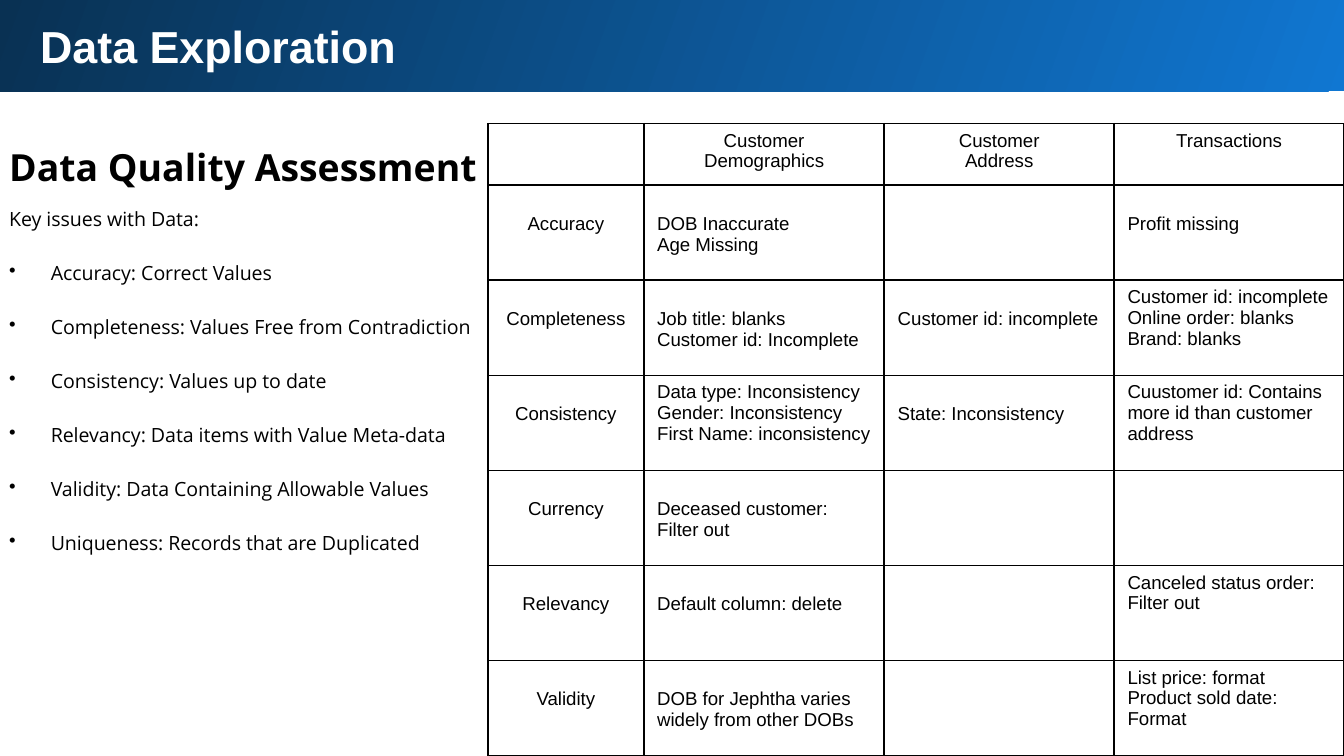
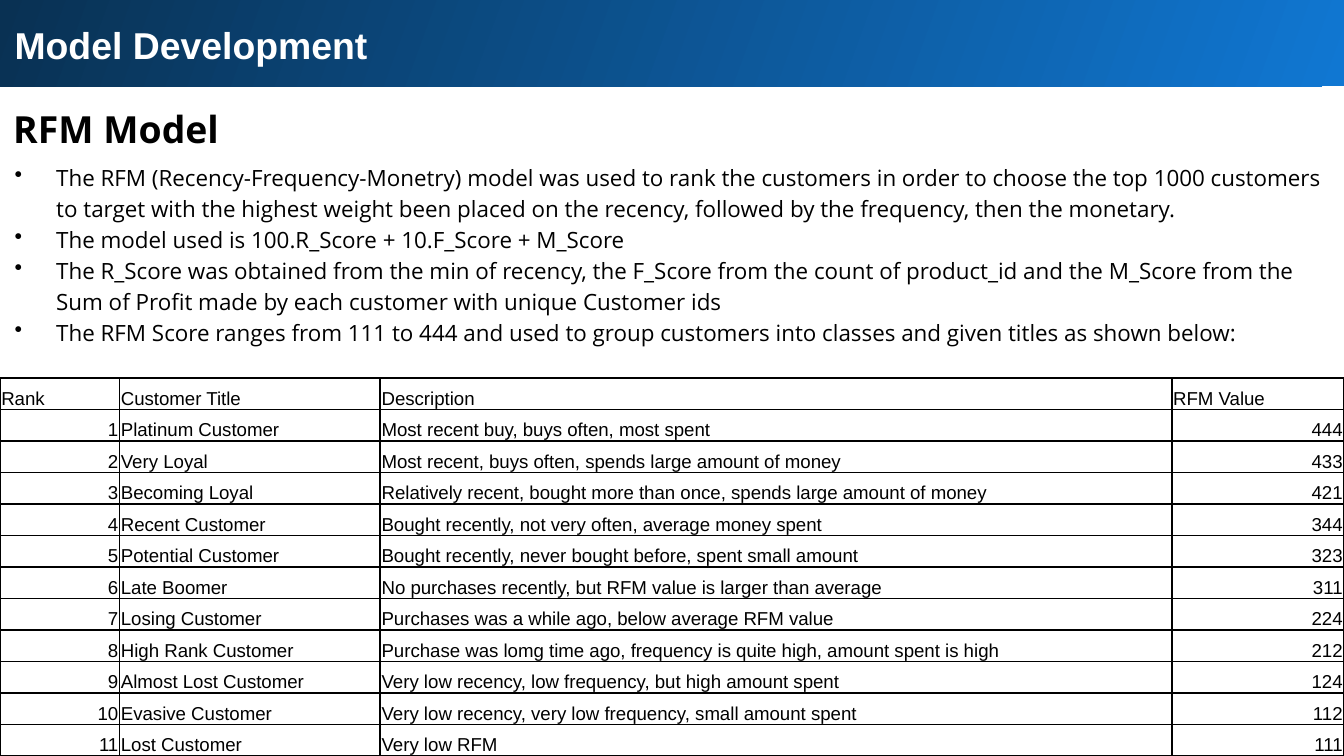
"""Builds two slides on data exploration and model development."""
from collections import namedtuple

from lxml import etree
from pptx import Presentation
from pptx.dml.color import RGBColor
from pptx.enum.shapes import MSO_SHAPE
from pptx.enum.text import MSO_ANCHOR, PP_ALIGN
from pptx.oxml.ns import qn
from pptx.util import Emu, Inches, Pt

RECTANGLE = MSO_SHAPE.RECTANGLE
LEFT, CENTER, RIGHT = PP_ALIGN.LEFT, PP_ALIGN.CENTER, PP_ALIGN.RIGHT
TOP, BOTTOM = MSO_ANCHOR.TOP, MSO_ANCHOR.BOTTOM

BLACK = RGBColor(0x00, 0x00, 0x00)
WHITE = RGBColor(0xFF, 0xFF, 0xFF)
BRIGHT_BLUE = RGBColor(0x10, 0x77, 0xD2)
DEEP_BLUE = RGBColor(0x09, 0x31, 0x53)

TITLE_FONT = TABLE_FONT = "Arial"
BODY_FONT = "Open Sans"
TABLE_SIZE = 10
LINE_SPACING = 1.15
BULLET_INDENT = Inches(0.31)
TEXT_INSET = Inches(0.1)
BORDER_WIDTH = Pt(1)

SLIDE_WIDTH = Inches(10)
SLIDE_HEIGHT = Emu(SLIDE_WIDTH * 9 // 16)

Box = namedtuple("Box", "left top width height")
Margins = namedtuple("Margins", "left top right bottom")
ROOMY = Margins(0.1, 0.05, 0.1, 0.05)
LOWERED = ROOMY._replace(top=0.21)
TIGHT = Margins(0.01, 0.01, 0.01, 0)

ISSUES = [
    "Accuracy: Correct Values",
    "Completeness: Values Free from Contradiction",
    "Consistency: Values up to date",
    "Relevancy: Data items with Value Meta-data",
    "Validity: Data Containing Allowable Values",
    "Uniqueness: Records that are Duplicated",
]
QUALITY_ROWS = [
    ["", "Customer\nDemographics", "Customer\nAddress", "Transactions"],
    ["Accuracy", "DOB Inaccurate\nAge Missing", "", "Profit missing"],
    ["Completeness", "Job title: blanks\nCustomer id: Incomplete",
     "Customer id: incomplete",
     "Customer id: incomplete\nOnline order: blanks\nBrand: blanks"],
    ["Consistency",
     "Data type: Inconsistency\nGender: Inconsistency\nFirst Name: inconsistency",
     "State: Inconsistency",
     "Cuustomer id: Contains more id than customer address"],
    ["Currency", "Deceased customer: Filter out", "", ""],
    ["Relevancy", "Default column: delete", "",
     "Canceled status order: Filter out"],
    ["Validity", "DOB for Jephtha varies widely from other DOBs", "",
     "List price: format\nProduct sold date: Format"],
]
# Cells whose text starts at the top of the row, as (row, column).
RAISED_CELLS = {(2, 3), (3, 1), (3, 3), (5, 3), (6, 3)}

MODEL_POINTS = [
    "The RFM (Recency-Frequency-Monetry) model was used to rank the customers "
    "in order to choose the top 1000 customers to target with the highest "
    "weight been placed on the recency, followed by the frequency, then the "
    "monetary.",
    "The model used is 100.R_Score + 10.F_Score + M_Score",
    "The R_Score was obtained from the min of recency, the F_Score from the "
    "count of product_id and the M_Score from the Sum of Profit made by each "
    "customer with unique Customer ids",
    "The RFM Score ranges from 111 to 444 and used to group customers into "
    "classes and given titles as shown below:",
]
RANK_HEADER = ["Rank", "Customer Title", "Description", "RFM Value"]
CUSTOMER_CLASSES = [
    ("Platinum Customer", "Most recent buy, buys often, most spent", 444),
    ("Very Loyal", "Most recent, buys often, spends large amount of money", 433),
    ("Becoming Loyal", "Relatively recent, bought more than once, spends large "
     "amount of money", 421),
    ("Recent Customer", "Bought recently, not very often, average money spent", 344),
    ("Potential Customer", "Bought recently, never bought before, spent small "
     "amount", 323),
    ("Late Boomer", "No purchases recently, but RFM value is larger than "
     "average", 311),
    ("Losing Customer", "Purchases was a while ago, below average RFM value", 224),
    ("High Rank Customer", "Purchase was lomg time ago, frequency is quite high, "
     "amount spent is high", 212),
    ("Almost Lost Customer", "Very low recency, low frequency, but high amount "
     "spent", 124),
    ("Evasive Customer", "Very low recency, very low frequency, small amount "
     "spent", 112),
    ("Lost Customer", "Very low RFM", 111),
]


def share(left, top, width, height):
    """Turn percentages of the slide's size into a box."""
    return Box(*(Emu(round(side * part / 100)) for side, part in (
        (SLIDE_WIDTH, left), (SLIDE_HEIGHT, top),
        (SLIDE_WIDTH, width), (SLIDE_HEIGHT, height))))


def style_font(para, name, size, color, bold=False):
    """Set the font of a whole paragraph."""
    font = para.font
    font.name, font.size, font.bold = name, Pt(size), bold
    font.color.rgb = color


def add_bullet(para):
    """Give a paragraph a round bullet and a hanging indent."""
    props = para._p.get_or_add_pPr()
    props.set("marL", str(BULLET_INDENT))
    props.set("indent", str(-BULLET_INDENT))
    etree.SubElement(props, qn("a:buChar")).set("char", "\u2022")


def add_text(page, box, lines, font, size, color=BLACK, bold=False,
             spacing=LINE_SPACING, gap=0, bullets_from=None):
    """Write paragraphs in a box, with bullets from the given index on."""
    frame = page.shapes.add_textbox(*box).text_frame
    frame.word_wrap = True
    frame.margin_left = frame.margin_right = TEXT_INSET
    frame.margin_top = frame.margin_bottom = TEXT_INSET
    frame.text = "\n".join(lines)
    for index, para in enumerate(frame.paragraphs):
        para.line_spacing = spacing
        if index:
            para.space_before = Pt(gap)
        if bullets_from is not None and index >= bullets_from:
            add_bullet(para)
        style_font(para, font, size, color, bold)


def add_title_band(page, band_box, title_box, title, size):
    """Draw the gradient band with the slide's title."""
    band = page.shapes.add_shape(RECTANGLE, *band_box)
    band.shadow.inherit = False
    band.line.fill.background()
    band.fill.gradient()
    band.fill.gradient_angle = 160
    for stop, color in zip(band.fill.gradient_stops, (BRIGHT_BLUE, DEEP_BLUE)):
        stop.color.rgb = color
    add_text(page, title_box, [title], TITLE_FONT, size, WHITE, bold=True, spacing=1)


def add_heading(page, box, heading):
    """Write the bold heading under the band."""
    add_text(page, box, [heading], BODY_FONT, 20, bold=True)


def add_borders(cell):
    """Draw thin black lines on the four sides of a cell."""
    props = cell._tc.get_or_add_tcPr()
    for side in ("lnL", "lnR", "lnT", "lnB"):
        line = etree.SubElement(props, qn("a:" + side), w=str(BORDER_WIDTH))
        fill = etree.SubElement(line, qn("a:solidFill"))
        etree.SubElement(fill, qn("a:srgbClr"), val=str(BLACK))


def add_grid(page, box, rows, column_weights, row_weights, layout):
    """Build a bordered table; layout(row, column) gives align, anchor, margins."""
    table = page.shapes.add_table(len(rows), len(column_weights), *box).table
    table.first_row = table.horz_banding = False
    for column, weight in zip(table.columns, column_weights):
        column.width = Emu(round(box.width * weight / sum(column_weights)))
    for row, weight in zip(table.rows, row_weights):
        row.height = Emu(round(box.height * weight / sum(row_weights)))
    for row_index, texts in enumerate(rows):
        for column_index, text in enumerate(texts):
            cell = table.cell(row_index, column_index)
            align, anchor, margins = layout(row_index, column_index)
            add_borders(cell)
            cell.fill.background()
            cell.vertical_anchor = anchor
            cell.margin_left, cell.margin_top, cell.margin_right, \
                cell.margin_bottom = map(Inches, margins)
            cell.text_frame.text = str(text)
            for para in cell.text_frame.paragraphs:
                para.alignment = align
                style_font(para, TABLE_FONT, TABLE_SIZE, BLACK)


def quality_layout(row, column):
    """Centre the headings and lower most of the other cells."""
    align = CENTER if row == 0 or column == 0 else LEFT
    raised = row == 0 or (row, column) in RAISED_CELLS
    return align, TOP, ROOMY if raised else LOWERED


def rank_layout(row, column):
    """Set numbers to the right and all text at the foot of its row."""
    is_number = row > 0 and column in (0, 3)
    return RIGHT if is_number else LEFT, BOTTOM, TIGHT


def build_exploration(page):
    """Fill the slide on data quality."""
    add_title_band(page, share(0, 0, 100.5, 12.1), share(2, 0.7, 93.7, 10.8),
                   "Data Exploration", 24)
    add_heading(page, share(-0.3, 16.4, 49.1, 10), "Data Quality Assessment")
    add_text(page, share(-0.3, 25.2, 54.6, 55.5), ["Key issues with Data:"] + ISSUES,
             BODY_FONT, 10.5, gap=14.45, bullets_from=1)
    add_grid(page, share(36.3, 16.35, 63.7, 83.65), QUALITY_ROWS,
             [116, 179, 171, 171], [46] + [71] * 6, quality_layout)


def build_model(page):
    """Fill the slide on the RFM model."""
    add_title_band(page, share(0, 0, 100, 11.4), share(0.1, 1.1, 99.9, 9.6),
                   "Model Development", 20)
    add_heading(page, share(0, 11.4, 97.8, 10), "RFM Model")
    add_text(page, share(0.1, 19.4, 99.9, 32.2), MODEL_POINTS, BODY_FONT, 12,
             bullets_from=0)
    ranked = [(rank, *entry) for rank, entry in enumerate(CUSTOMER_CLASSES, 1)]
    add_grid(page, share(0, 50, 100, 50), [RANK_HEADER] + ranked,
             [89, 194, 589, 128], [1] * (len(ranked) + 1), rank_layout)


deck = Presentation()
deck.slide_width, deck.slide_height = SLIDE_WIDTH, SLIDE_HEIGHT
for build in (build_exploration, build_model):
    build(deck.slides.add_slide(deck.slide_layouts[6]))
deck.save("out.pptx")
